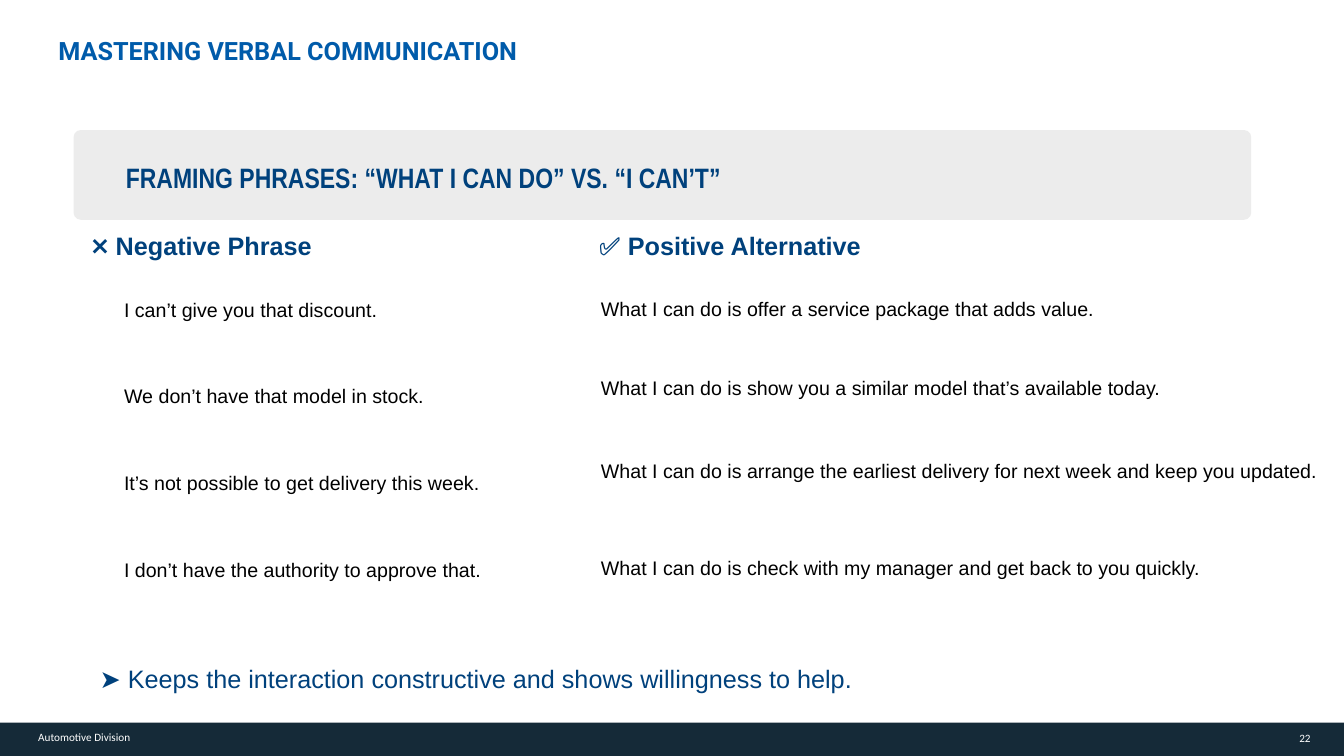
from pptx import Presentation
from pptx.dml.color import RGBColor
from pptx.enum.shapes import MSO_SHAPE
from pptx.enum.text import MSO_ANCHOR, MSO_AUTO_SIZE, PP_ALIGN
from pptx.oxml.ns import qn
from pptx.util import Inches, Pt
from lxml import etree

RECT, ROUND = MSO_SHAPE.RECTANGLE, MSO_SHAPE.ROUNDED_RECTANGLE
TOP, MIDDLE = MSO_ANCHOR.TOP, MSO_ANCHOR.MIDDLE
LEFT, RIGHT = PP_ALIGN.LEFT, PP_ALIGN.RIGHT
FIXED = MSO_AUTO_SIZE.NONE

BLUE = RGBColor(0x00, 0x5B, 0xAA)
NAVY = RGBColor(0x00, 0x41, 0x7C)
DARK = RGBColor(0x15, 0x2A, 0x38)
GREY = RGBColor(0x80, 0x80, 0x80)
BLACK = RGBColor(0, 0, 0)
WHITE = RGBColor(0xFF, 0xFF, 0xFF)

NEGATIVE = [
    "I can’t give you that discount.",
    "We don’t have that model in stock.",
    "It’s not possible to get delivery this week.",
    "I don’t have the authority to approve that.",
]
POSITIVE = [
    "What I can do is offer a service package that adds value.",
    "What I can do is show you a similar model that’s available today.",
    "What I can do is arrange the earliest delivery for next week and keep you updated.",
    "What I can do is check with my manager and get back to you quickly.",
]


def style(run, size, color, face="Arial", bold=False):
    font = run.font
    font.size, font.name, font.bold = Pt(size), face, bold
    font.color.rgb = color


def write(frame, text, size, color, face="Arial", bold=False, align=LEFT, anchor=TOP):
    frame.text = text
    frame.auto_size = FIXED
    frame.vertical_anchor = anchor
    line = frame.paragraphs[0]
    line.alignment = align
    style(line.runs[0], size, color, face, bold)


def clear(frame):
    frame.margin_left = frame.margin_right = 0
    frame.margin_top = frame.margin_bottom = 0


def add_text(slide, box, *look, **more):
    frame = slide.shapes.add_textbox(*map(Inches, box)).text_frame
    write(frame, *look, **more)
    frame.word_wrap = True
    return frame


def add_block(slide, kind, box, color):
    block = slide.shapes.add_shape(kind, *map(Inches, box))
    block.shadow.inherit = False
    block.fill.solid()
    block.fill.fore_color.rgb = color
    block.line.fill.background()
    return block


def add_title(slide, box, text):
    title = slide.shapes.title
    title.left, title.top, title.width, title.height = map(Inches, box)
    clear(title.text_frame)
    write(title.text_frame, text, 18, BLUE, "Roboto", True)


def add_banner(slide, box, text):
    x, y, w, h = box
    panel = add_block(slide, ROUND, box, GREY)
    panel.adjustments[0] = 0.08
    shade = panel.fill._xPr.find(qn("a:solidFill"))[0]
    etree.SubElement(shade, qn("a:alpha")).set("val", "15000")
    add_text(slide, (x + 0.42, y + 0.22, 7.34, 0.5), text, 20, NAVY,
             "Arial Narrow", True, anchor=MIDDLE)


def add_grid(slide, box, rows):
    x, y, w = box
    shape = slide.shapes.add_table(len(rows), 1, *map(Inches, (x, y, w, sum(rows))))
    grid = shape.table
    grid.first_row = grid.horz_banding = False
    for row, height in zip(grid.rows, rows):
        row.height = Inches(height)
        cell = row.cells[0]
        cell.fill.background()
        cell.vertical_anchor = MIDDLE
    return [row.cells[0] for row in grid.rows]


def add_head(slide, box, mark, label):
    cell = add_grid(slide, box, [0.4])[0]
    cell.margin_left = cell.margin_right = Inches(0.1)
    cell.margin_top = cell.margin_bottom = Inches(0.05)
    line = cell.text_frame.paragraphs[0]
    for text, bold in ((mark + " ", False), (label, True)):
        run = line.add_run()
        run.text = text
        style(run, 18, NAVY, bold=bold)


def add_list(slide, box, rows, lines):
    for cell, text in zip(add_grid(slide, box, rows), lines):
        cell.margin_left = cell.margin_right = Inches(0.08)
        cell.margin_top = cell.margin_bottom = Inches(0.04)
        cell.text_frame.text = text
        style(cell.text_frame.paragraphs[0].runs[0], 14, BLACK)


def add_footer(slide, box, name, page):
    x, y, w, h = box
    add_block(slide, RECT, box, DARK)
    add_text(slide, (x + 0.28, y + 0.03, 1.5, 0.24), name, 8, WHITE, "Calibri")
    frame = add_text(slide, (x + w - 0.83, y + 0.09, 0.5, 0.13), page, 8, WHITE,
                     "Calibri", align=RIGHT, anchor=MIDDLE)
    clear(frame)


def main():
    deck = Presentation()
    deck.slide_width, deck.slide_height = Inches(13.33), Inches(7.5)
    slide = deck.slides.add_slide(deck.slide_layouts[5])
    add_footer(slide, (0, 7.17, 13.33, 0.33), "Automotive Division", "22")
    add_title(slide, (0.58, 0.35, 11.91, 0.3), "MASTERING VERBAL COMMUNICATION")
    add_text(slide, (0.89, 6.53, 11.91, 0.5),
             "➤ Keeps the interaction constructive and shows willingness to help.", 18, NAVY)
    add_head(slide, (0.81, 2.25, 4.5), "❌", "Negative Phrase")
    add_head(slide, (5.84, 2.25, 5.27), "✅", "Positive Alternative")
    add_list(slide, (1.15, 2.65, 5.35), [0.86] * 4, NEGATIVE)
    add_list(slide, (5.88, 2.64, 7.45), [0.87, 0.7, 0.94, 0.99], POSITIVE)
    add_banner(slide, (0.73, 1.29, 11.68, 0.89),
               "FRAMING PHRASES: “WHAT I CAN DO” VS. “I CAN’T”")
    deck.save("out.pptx")


if __name__ == "__main__":
    main()
